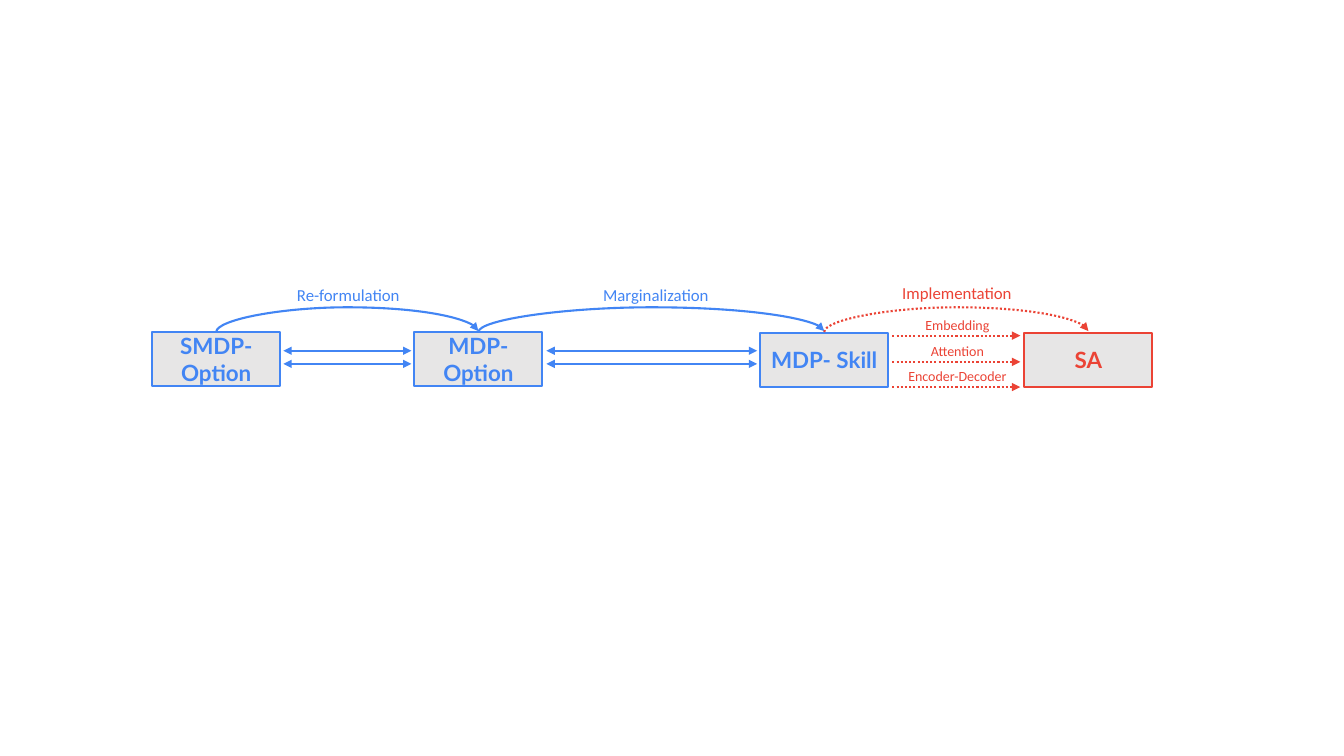
from lxml.etree import SubElement
from pptx import Presentation
from pptx.dml.color import RGBColor
from pptx.enum.dml import MSO_LINE
from pptx.enum.shapes import MSO_CONNECTOR, MSO_SHAPE
from pptx.enum.text import MSO_ANCHOR, PP_ALIGN
from pptx.oxml.ns import qn
from pptx.util import Inches, Pt

HUES = {"blue": "4285F4", "red": "EB4335", "grey": "E7E6E6"}
CELL = Inches(0.1)

deck = Presentation()
deck.slide_width, deck.slide_height = Inches(13.33), Inches(7.5)
slide = deck.slides.add_slide(deck.slide_layouts[6])
shapes = slide.shapes


def write(shape, words, font, size, hue, align=PP_ALIGN.CENTER):
    frame = shape.text_frame
    frame.word_wrap = True
    frame.vertical_anchor = MSO_ANCHOR.MIDDLE
    para = frame.paragraphs[0]
    para.text = words
    para.alignment = align
    para.font.name = font
    para.font.size = Pt(size)
    para.font.bold = font == "Lato"
    para.font.color.rgb = RGBColor.from_string(HUES[hue])


def link(kind, ends, hue, heads):
    line = shapes.add_connector(kind, *[int(n * CELL) for n in ends])
    line.line.width = Pt(1.5)
    line.line.color.rgb = RGBColor.from_string(HUES[hue])
    if hue == "red":
        line.line.dash_style = MSO_LINE.ROUND_DOT
    props = line._element.spPr
    for head in heads:
        SubElement(props.find(qn("a:ln")), qn("a:" + head), type="triangle")
    SubElement(props, qn("a:effectLst"))
    return props


WIDE, HIGH = 12.7, 5.4
BOXES = [
    ("SMDP-Option", 15.1, 32.9, "blue"),
    ("MDP-Option", 41.1, 32.9, "blue"),
    ("MDP- Skill", 75.4, 33, "blue"),
    ("SA", 101.6, 33, "red"),
]
for words, left, top, hue in BOXES:
    box = shapes.add_shape(MSO_SHAPE.RECTANGLE, *[int(n * CELL) for n in (left, top, WIDE, HIGH)])
    box.shadow.inherit = False
    box.fill.solid()
    box.fill.fore_color.rgb = RGBColor.from_string(HUES["grey"])
    box.line.color.rgb = RGBColor.from_string(HUES[hue])
    box.line.width = Pt(1.5)
    box.text_frame.margin_left = box.text_frame.margin_right = Inches(0.09)
    write(box, words, "Lato", 16, hue)

THIN, RISE = 0.1, 2.5
for (_, left, _, _), (_, right, _, hue) in zip(BOXES, BOXES[1:]):
    mid, half = (left + right + WIDE) / 2, (right - left) / 2
    ends = (mid + THIN / 2, 32.9 + half, mid - THIN / 2, 32.9 - half)
    props = link(MSO_CONNECTOR.CURVE, ends, hue, ["tailEnd"])
    props.find(qn("a:xfrm")).set("rot", "5400000")
    bend = props.find(qn("a:prstGeom")).find(qn("a:avLst"))
    SubElement(bend, qn("a:gd"), name="adj1", fmla=f"val {round(RISE / THIN * 100000)}")

for start, end in ((28.1, 40.8), (54.2, 75.1)):
    for row in (34.8, 36.1):
        link(MSO_CONNECTOR.STRAIGHT, (start, row, end, row), "blue", ["headEnd", "tailEnd"])

for row in (33.3, 35.9, 38.4):
    link(MSO_CONNECTOR.STRAIGHT, (88.5, row, 101.2, row), "red", ["tailEnd"])

LABELS = [
    ("Re-formulation", 25.8, 27.4, 12, "blue", PP_ALIGN.CENTER),
    ("Marginalization", 56.3, 27.4, 12, "blue", PP_ALIGN.CENTER),
    ("Implementation", 88.5, 27.3, 12, "red", PP_ALIGN.LEFT),
    ("Embedding", 86.2, 30.4, 10, "red", PP_ALIGN.CENTER),
    ("Attention", 86.2, 33, 10, "red", PP_ALIGN.CENTER),
    ("Encoder-Decoder", 86.2, 35.5, 10, "red", PP_ALIGN.CENTER),
]
for words, left, top, size, hue, align in LABELS:
    label = shapes.add_textbox(*[int(n * CELL) for n in (left, top, 17.5, 3.6)])
    write(label, words, "Calibri", size, hue, align)

deck.save("out.pptx")
